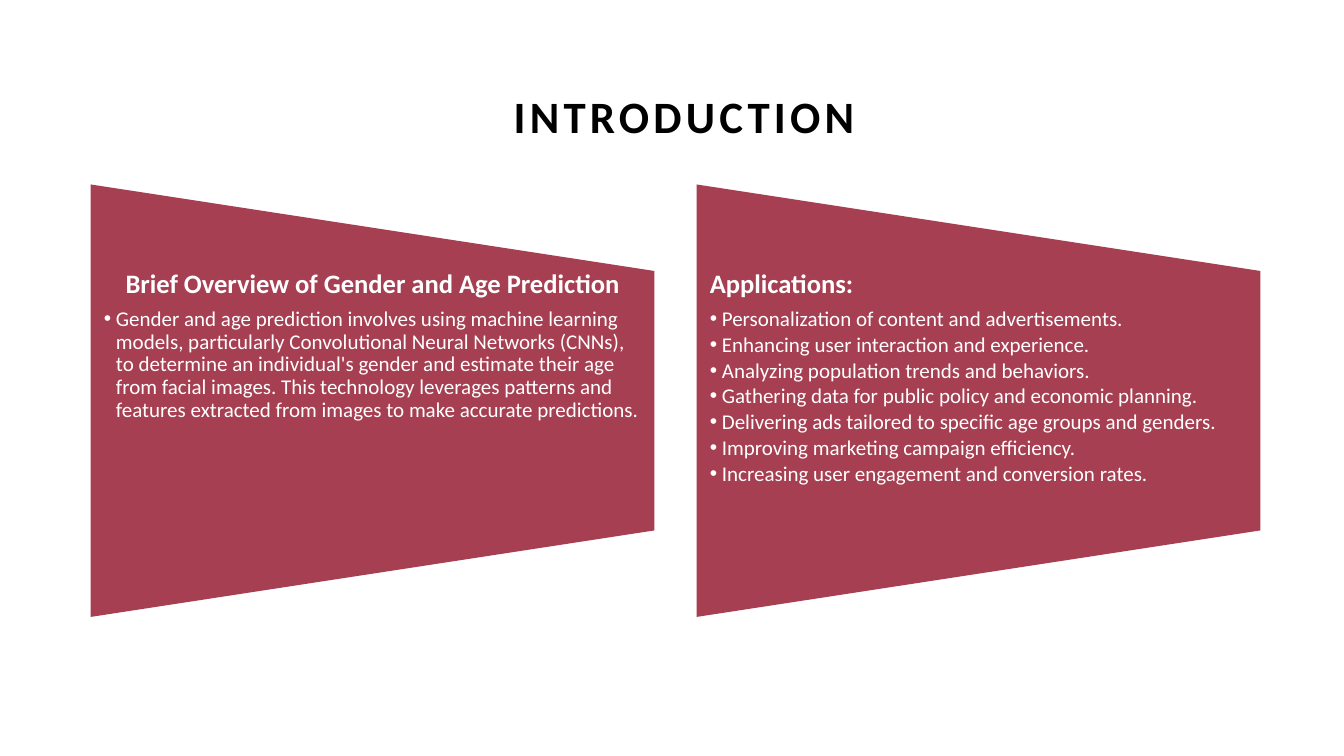
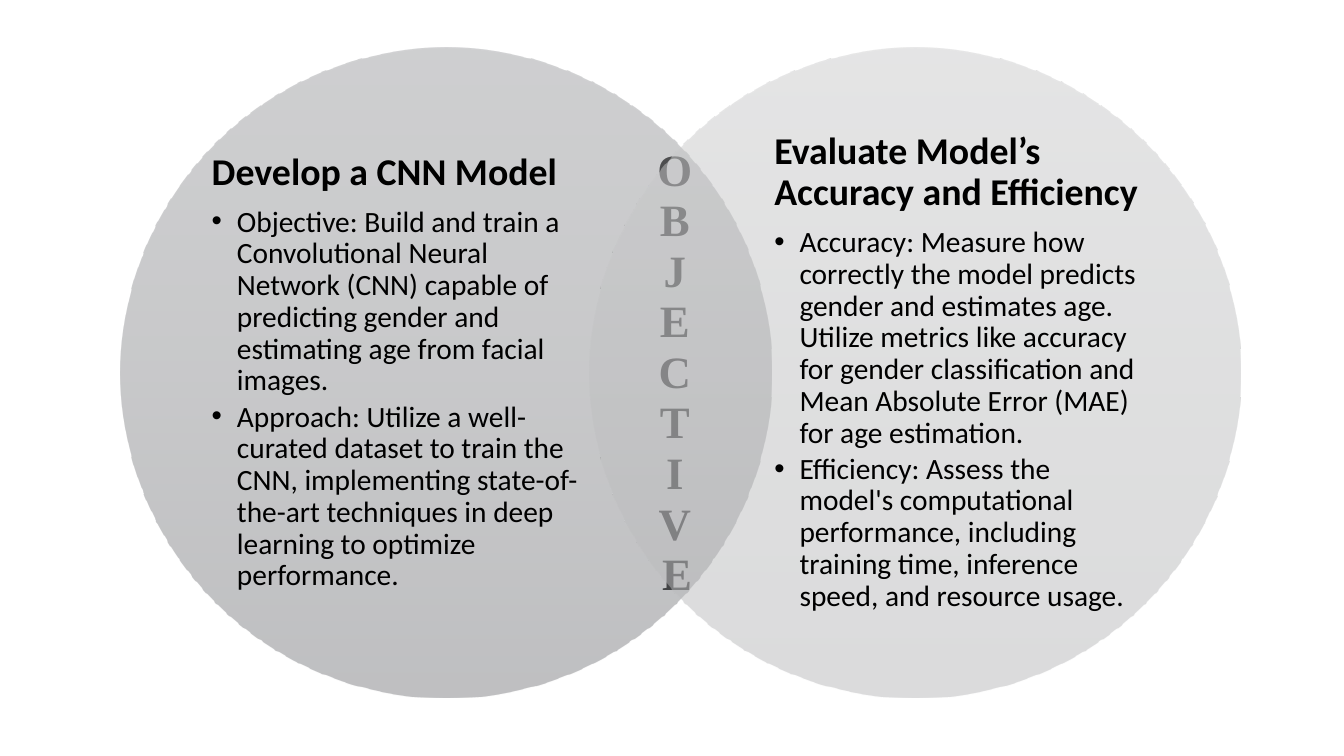
from lxml import etree
from pptx import Presentation
from pptx.dml.color import RGBColor
from pptx.enum import shapes, text
from pptx.oxml.ns import qn
from pptx.util import Inches, Pt

BLACK = RGBColor(0x00, 0x00, 0x00)
WHITE = RGBColor(0xFF, 0xFF, 0xFF)
CRIMSON = RGBColor(0xA5, 0x3F, 0x51)
DARK_GREYS = [RGBColor.from_string(code) for code in ("A0A1A4", "939497", "808185")]
LIGHT_GREYS = [RGBColor.from_string(code) for code in ("CCCCCD", "C1C2C3", "B9B9BB")]

LEFT, CENTER = text.PP_ALIGN.LEFT, text.PP_ALIGN.CENTER
TOP, MIDDLE, BOTTOM = text.MSO_ANCHOR.TOP, text.MSO_ANCHOR.MIDDLE, text.MSO_ANCHOR.BOTTOM


class Deck:
    """Shared style and the slide being built."""

    body_font = "Calibri"
    title_format = {"size": Pt(32), "bold": True}
    line_spacing = 0.9

    def __init__(self):
        self.presentation = Presentation()
        self.presentation.slide_width = Inches(13.33)
        self.presentation.slide_height = Inches(7.5)
        self.slide = None

    def new_slide(self):
        self.slide = self.presentation.slides.add_slide(self.presentation.slide_layouts[6])

    def text_box(self, box, anchor, margins):
        shape = self.slide.shapes.add_textbox(*map(Inches, box))
        frame = shape.text_frame
        side, edge = map(Inches, margins)
        settings = {"word_wrap": True, "vertical_anchor": anchor,
                    "margin_left": side, "margin_right": side,
                    "margin_top": edge, "margin_bottom": edge}
        for name, value in settings.items():
            setattr(frame, name, value)
        return frame

    def fill_paragraph(self, paragraph, words, font, align=LEFT, after=0,
                       spacing=line_spacing):
        paragraph.text = words
        layout = {"alignment": align, "line_spacing": spacing, "space_after": Pt(after)}
        for name, value in layout.items():
            setattr(paragraph, name, value)
        color = font.get("color", BLACK)
        for run in paragraph.runs:
            for name, value in font.items():
                if name != "color":
                    setattr(run.font, name, value)
            run.font.color.rgb = color

    def title(self, words, box, font=body_font, spacing=line_spacing):
        frame = self.text_box(box, BOTTOM, (0.1, 0.05))
        paragraph = frame.paragraphs[0]
        self.fill_paragraph(paragraph, words, {**self.title_format, "name": font},
                            CENTER, 0, spacing)
        for run in paragraph.runs:
            run.font._element.set("spc", "300")

    def topic(self, heading, bullets, box, sizes, indent, color=BLACK,
              align=LEFT, anchor=TOP, margins=(0, 0)):
        """A bold heading above a bulleted list."""
        frame = self.text_box(box, anchor, margins)
        head_size, body_size = sizes
        font = {"name": self.body_font, "color": color}
        self.fill_paragraph(frame.paragraphs[0], heading,
                            {**font, "size": Pt(head_size), "bold": True},
                            align, 0.35 * head_size)
        for bullet in bullets:
            paragraph = frame.add_paragraph()
            properties = paragraph._p.get_or_add_pPr()
            properties.set("marL", str(Inches(indent)))
            properties.set("indent", str(-Inches(indent)))
            etree.SubElement(properties, qn("a:buFont"), typeface="Arial")
            etree.SubElement(properties, qn("a:buChar"), char="•")
            self.fill_paragraph(paragraph, bullet,
                                {**font, "size": Pt(body_size), "bold": False},
                                after=0.15 * body_size)

    def shape(self, kind, box):
        shape = self.slide.shapes.add_shape(kind, *map(Inches, box))
        shape.shadow.inherit = False
        shape.line.fill.background()
        return shape

    def tapered_panel(self, left, top, width, height):
        """The preset tapers downwards, so it is turned to taper rightwards."""
        shift = (width - height) / 2
        panel = self.shape(shapes.MSO_SHAPE.FLOWCHART_MANUAL_OPERATION,
                           (left + shift, top - shift, height, width))
        panel.rotation = 270
        panel.fill.solid()
        panel.fill.fore_color.rgb = CRIMSON

    def glass_circle(self, left, top, diameter, colors):
        """A half-transparent circle shaded from top to bottom."""
        circle = self.shape(shapes.MSO_SHAPE.OVAL, (left, top, diameter, diameter))
        circle.fill.gradient()
        circle.fill.gradient_angle = 270
        stops = circle._element.spPr.find(qn("a:gradFill")).find(qn("a:gsLst"))
        for stop in list(stops):
            stops.remove(stop)
        for index, color in enumerate(colors):
            stop = etree.SubElement(stops, qn("a:gs"), pos=str(index * 50000))
            tint = etree.SubElement(stop, qn("a:srgbClr"), val=str(color))
            etree.SubElement(tint, qn("a:alpha"), val="50000")


def introduction(deck):
    deck.new_slide()
    deck.title("INTRODUCTION", (1.22, 0.83, 11.13, 0.64))
    panels = [
        ("Brief Overview of Gender and Age Prediction", CENTER, [
            "Gender and age prediction involves using machine learning models, particularly "
            "Convolutional Neural Networks (CNNs), to determine an individual's gender and "
            "estimate their age from facial images. This technology leverages patterns and "
            "features extracted from images to make accurate predictions."]),
        ("Applications:", LEFT, [
            "Personalization of content and advertisements.",
            "Enhancing user interaction and experience.",
            "Analyzing population trends and behaviors.",
            "Gathering data for public policy and economic planning.",
            "Delivering ads tailored to specific age groups and genders.",
            "Improving marketing campaign efficiency.",
            "Increasing user engagement and conversion rates."]),
    ]
    width, gap = 5.59, 0.42
    for index, (heading, align, bullets) in enumerate(panels):
        left = 0.9 + index * (width + gap)
        deck.tapered_panel(left, 1.83, width, 4.29)
        deck.topic(heading, bullets, (left, 2.68, width, 2.58), (19, 15), 0.12,
                   WHITE, align, margins=(0.13, 0))


def objective(deck):
    deck.new_slide()
    # One letter per line; looser spacing suits the serif face
    deck.title("\v".join("OBJECTIVE"), (3.68, 1.25, 6.07, 4.76), "Times New Roman", 0.94)
    circles = [
        (1.2, 2.1, DARK_GREYS, "Develop a CNN Model", [
            "Objective: Build and train a Convolutional Neural Network (CNN) capable of "
            "predicting gender and estimating age from facial images.",
            "Approach: Utilize a well-curated dataset to train the CNN, implementing "
            "state-of-the-art techniques in deep learning to optimize performance."]),
        (5.85, 7.68, LIGHT_GREYS, "Evaluate Model’s Accuracy and Efficiency", [
            "Accuracy: Measure how correctly the model predicts gender and estimates age. "
            "Utilize metrics like accuracy for gender classification and Mean Absolute "
            "Error (MAE) for age estimation.",
            "Efficiency: Assess the model's computational performance, including training "
            "time, inference speed, and resource usage."]),
    ]
    for circle_left, text_left, colors, heading, bullets in circles:
        deck.glass_circle(circle_left, 0.47, 6.45, colors)
        deck.topic(heading, bullets, (text_left, 1.23, 3.72, 4.93), (27, 21), 0.25,
                   anchor=MIDDLE)


def main():
    deck = Deck()
    introduction(deck)
    objective(deck)
    deck.presentation.save("out.pptx")


if __name__ == "__main__":
    main()
